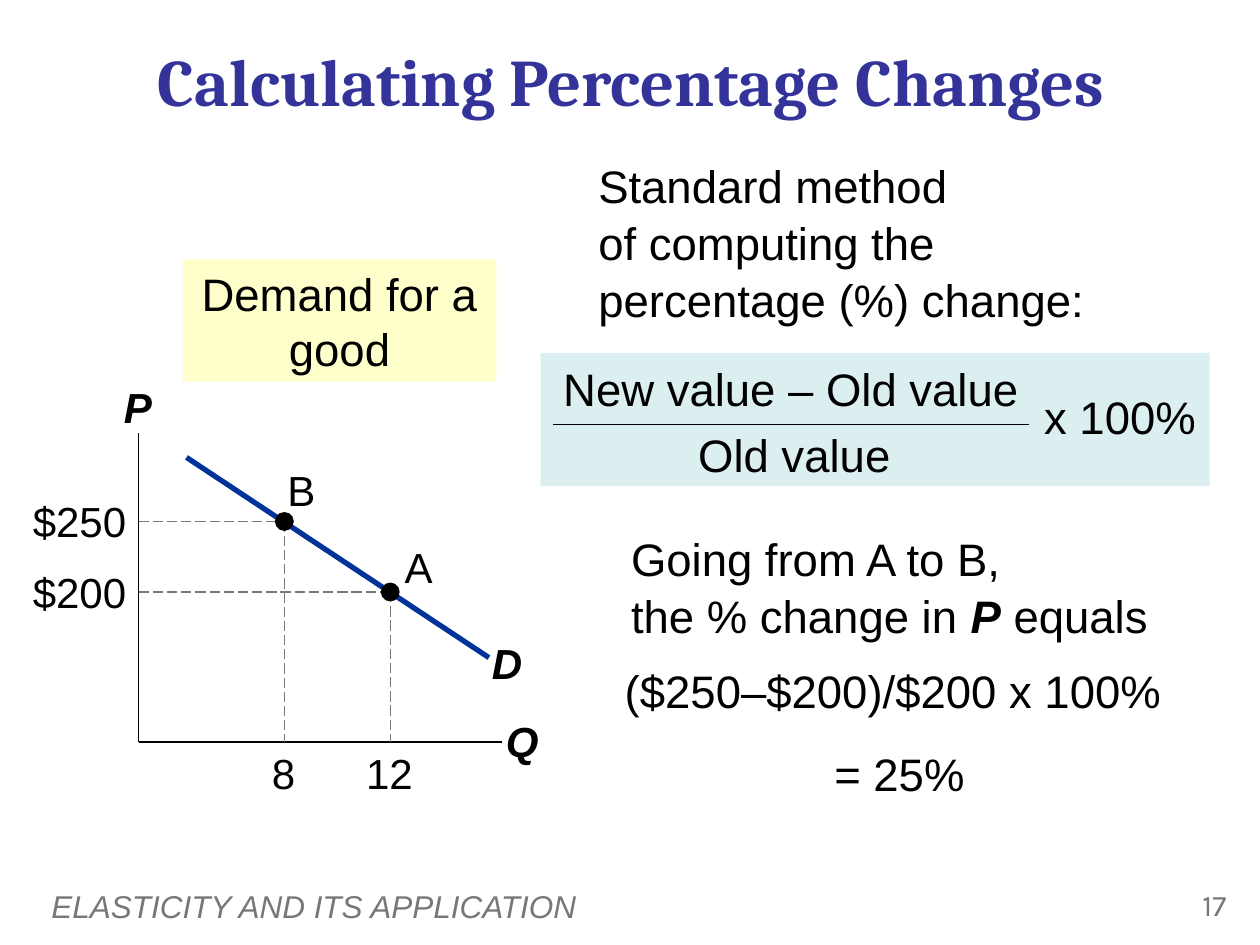
from dataclasses import dataclass

from lxml import etree
from pptx import Presentation
from pptx.dml.color import RGBColor
from pptx.enum.dml import MSO_LINE_DASH_STYLE as DASH
from pptx.enum.shapes import MSO_CONNECTOR, MSO_SHAPE
from pptx.enum.text import MSO_ANCHOR as ANCHOR, PP_ALIGN as ALIGN
from pptx.oxml.ns import qn
from pptx.util import Pt

BLACK = RGBColor(0x00, 0x00, 0x00)
GRAY = RGBColor(0x77, 0x77, 0x77)
INDIGO = RGBColor(0x33, 0x33, 0x99)
CURVE_BLUE = RGBColor(0x00, 0x33, 0x99)
PALE_YELLOW = RGBColor(0xFF, 0xFF, 0xCC)
PALE_TEAL = RGBColor(0xBB, 0xE0, 0xE3)

AXIS_X, AXIS_Y = 79.2, 424.1
LABEL_HEIGHT = 36
DOT = 10.8


@dataclass
class Style:
    size: float = 26
    font: str = "Arial"
    color: RGBColor = BLACK
    bold: bool = False
    italic: bool = False
    align: ALIGN = ALIGN.CENTER
    line_spacing: float = 1.0
    anchor: ANCHOR = ANCHOR.TOP


@dataclass
class Box:
    left: float
    top: float
    width: float
    height: float

    def lengths(self) -> list:
        return [Pt(v) for v in (self.left, self.top, self.width, self.height)]


@dataclass
class DemandPoint:
    name: str
    price: str
    quantity: str
    x: float
    y: float
    name_dx: float
    name_dy: float


FORMULA = Style()
LABEL = Style(size=24)
PRICE = Style(size=24, align=ALIGN.RIGHT)
SYMBOL = Style(size=24, bold=True, italic=True)
BODY = Style(align=ALIGN.LEFT, line_spacing=1.05)
CAPTION = Style(anchor=ANCHOR.MIDDLE)
TITLE = Style(38, "Cambria", INDIGO, bold=True, anchor=ANCHOR.MIDDLE)
FOOTER = Style(18, color=GRAY, italic=True, align=ALIGN.LEFT, anchor=ANCHOR.MIDDLE)
PAGE = Style(17, "Karla", GRAY, align=ALIGN.RIGHT)

POINTS = [
    DemandPoint("B", "$250", "8", 162.5, 298, 9.7, -36),
    DemandPoint("A", "$200", "12", 223, 338.3, 16.2, -32.3),
]


def format_paragraph(paragraph, style: Style) -> None:
    paragraph.alignment = style.align
    paragraph.line_spacing = style.line_spacing
    font = paragraph.font
    font.name, font.size = style.font, Pt(style.size)
    font.bold, font.italic = style.bold, style.italic
    font.color.rgb = style.color


def write(shape, text: str, style: Style):
    """Fill a shape with one paragraph; a newline becomes a line break."""
    frame = shape.text_frame
    frame.word_wrap = True
    frame.vertical_anchor = style.anchor
    paragraph = frame.paragraphs[0]
    paragraph.text = text.replace("\n", "\v")
    format_paragraph(paragraph, style)
    return frame


def add_text(slide, box: Box, text: str, style: Style):
    return write(slide.shapes.add_textbox(*box.lengths()), text, style)


def add_label(slide, center_x: float, top: float, text: str, style: Style) -> None:
    width = 48
    add_text(slide, Box(center_x - width / 2, top, width, LABEL_HEIGHT), text, style)


def add_filled(slide, preset: MSO_SHAPE, box: Box, color: RGBColor):
    shape = slide.shapes.add_shape(preset, *box.lengths())
    shape.shadow.inherit = False
    shape.fill.solid()
    shape.fill.fore_color.rgb = color
    shape.line.fill.background()
    return shape


def add_line(slide, start: tuple, end: tuple, color: RGBColor = BLACK,
             width: float = 1, dashed: bool = False) -> None:
    line = slide.shapes.add_connector(
        MSO_CONNECTOR.STRAIGHT, *[Pt(v) for v in (*start, *end)])
    line.line.color.rgb = color
    line.line.width = Pt(width)
    if dashed:
        line.line.dash_style = DASH.LONG_DASH
    etree.SubElement(line._element.spPr, qn("a:effectLst"))


def add_demand_point(slide, point: DemandPoint) -> None:
    x, y = point.x, point.y
    add_line(slide, (AXIS_X, y), (x, y), GRAY, 0.75, dashed=True)
    add_line(slide, (x, y), (x, AXIS_Y), GRAY, 0.75, dashed=True)
    add_text(slide, Box(AXIS_X - 70, y - 18.3, 70, LABEL_HEIGHT), point.price, PRICE)
    add_label(slide, x - 0.5, AXIS_Y - 0.4, point.quantity, LABEL)
    add_label(slide, x + point.name_dx, y + point.name_dy, point.name, LABEL)
    add_filled(slide, MSO_SHAPE.OVAL,
               Box(x - DOT / 2, y - DOT / 2, DOT, DOT), BLACK)


def add_graph(slide) -> None:
    add_line(slide, (AXIS_X, 247.7), (AXIS_X, AXIS_Y))
    add_line(slide, (AXIS_X, AXIS_Y), (286.6, AXIS_Y))
    add_line(slide, (106.6, 261.4), (279.4, 375.8), CURVE_BLUE, 3)
    for text, center_x, top in (("P", 78.8, 214.6), ("Q", 298.4, 405.4),
                                ("D", 289.8, 360.7)):
        add_label(slide, center_x, top, text, SYMBOL)
    for point in POINTS:
        add_demand_point(slide, point)
    caption = add_filled(slide, MSO_SHAPE.RECTANGLE,
                         Box(104.4, 148.3, 179.3, 69.8), PALE_YELLOW)
    write(caption, "Demand for a good", CAPTION)


def add_formula(slide) -> None:
    panel = add_filled(slide, MSO_SHAPE.RECTANGLE,
                       Box(308.9, 201.6, 382.3, 76.3), PALE_TEAL)
    color = panel.fill._xPr.find(qn("a:solidFill"))[0]
    etree.SubElement(color, qn("a:alpha"), val="50000")
    add_text(slide, Box(300.2, 203, 303.8, 38.9), "New value – Old value", FORMULA)
    add_text(slide, Box(378.7, 240.5, 150.5, 38.9), "Old value", FORMULA)
    add_text(slide, Box(586.1, 218.9, 108, 38.9), "x 100%", FORMULA)
    add_line(slide, (316.1, 242.6), (588.2, 242.6), width=0.75)


def add_explanation(slide) -> None:
    add_text(slide, Box(334.8, 85, 310.3, 108.7),
             "Standard method\nof computing the percentage (%) change:", BODY)

    # Worked example, with the price symbol emphasised
    example = add_text(slide, Box(353.5, 298.1, 310.3, 77.8),
                       "Going from A to B,\nthe % change in ", BODY).paragraphs[0]
    price = example.add_run()
    price.text = "P"
    price.font.bold = price.font.italic = True
    example.add_run().text = " equals"

    calculation = add_text(slide, Box(348.5, 375.1, 324, 85.7),
                           "($250–$200)/$200 x 100%", FORMULA)
    result = calculation.add_paragraph()
    result.text = " = 25%"
    format_paragraph(result, FORMULA)
    result.space_before = Pt(16.2)


def main() -> None:
    deck = Presentation()
    deck.slide_width, deck.slide_height = Pt(720), Pt(540)
    slide = deck.slides.add_slide(deck.slide_layouts[5])

    # Title
    title = slide.shapes.title
    title.left, title.top, title.width, title.height = Box(18.7, 20.2, 684, 51.1).lengths()
    write(title, "Calculating Percentage Changes", TITLE)

    # Demand graph on the left, method on the right
    add_graph(slide)
    add_formula(slide)
    add_explanation(slide)

    # Footer
    add_text(slide, Box(22.3, 503.3, 577.4, 28.8), "ELASTICITY AND ITS APPLICATION", FOOTER)
    add_text(slide, Box(653.8, 503.3, 54, 28.8), "17", PAGE)

    deck.save("out.pptx")


if __name__ == "__main__":
    main()
